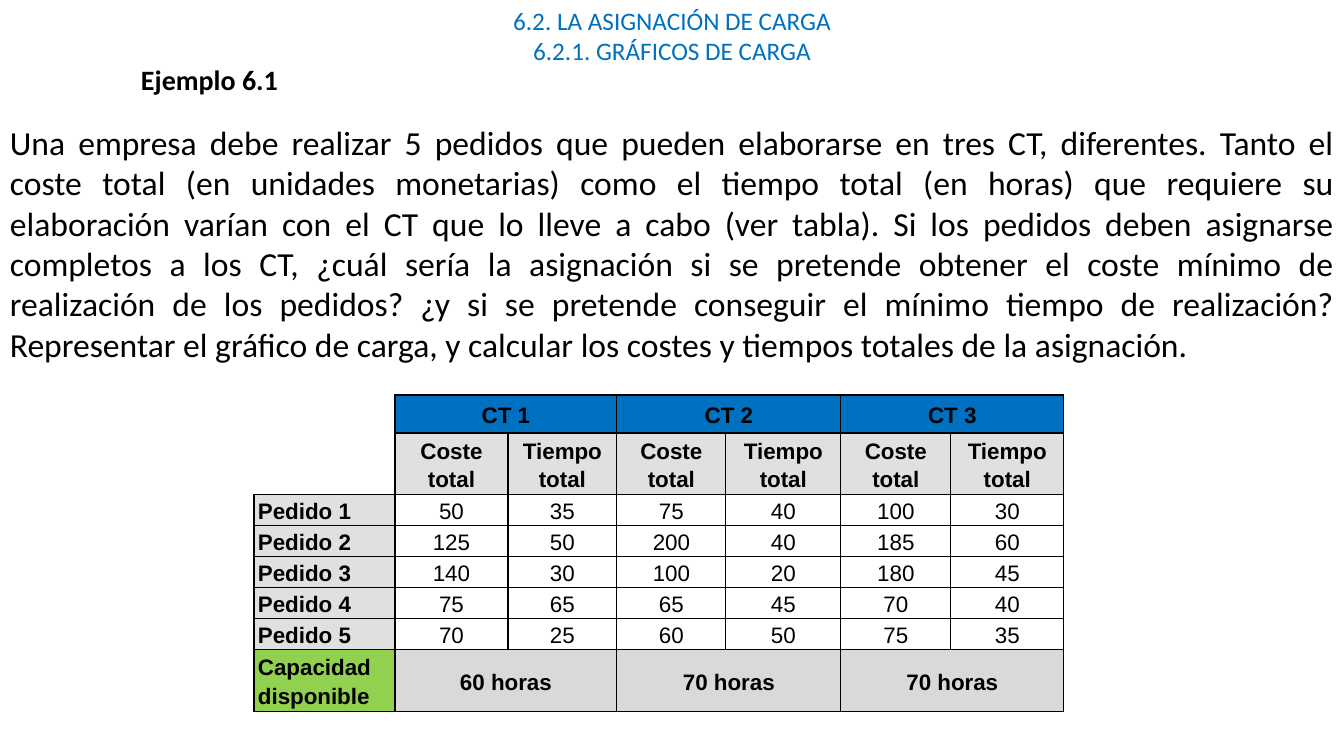
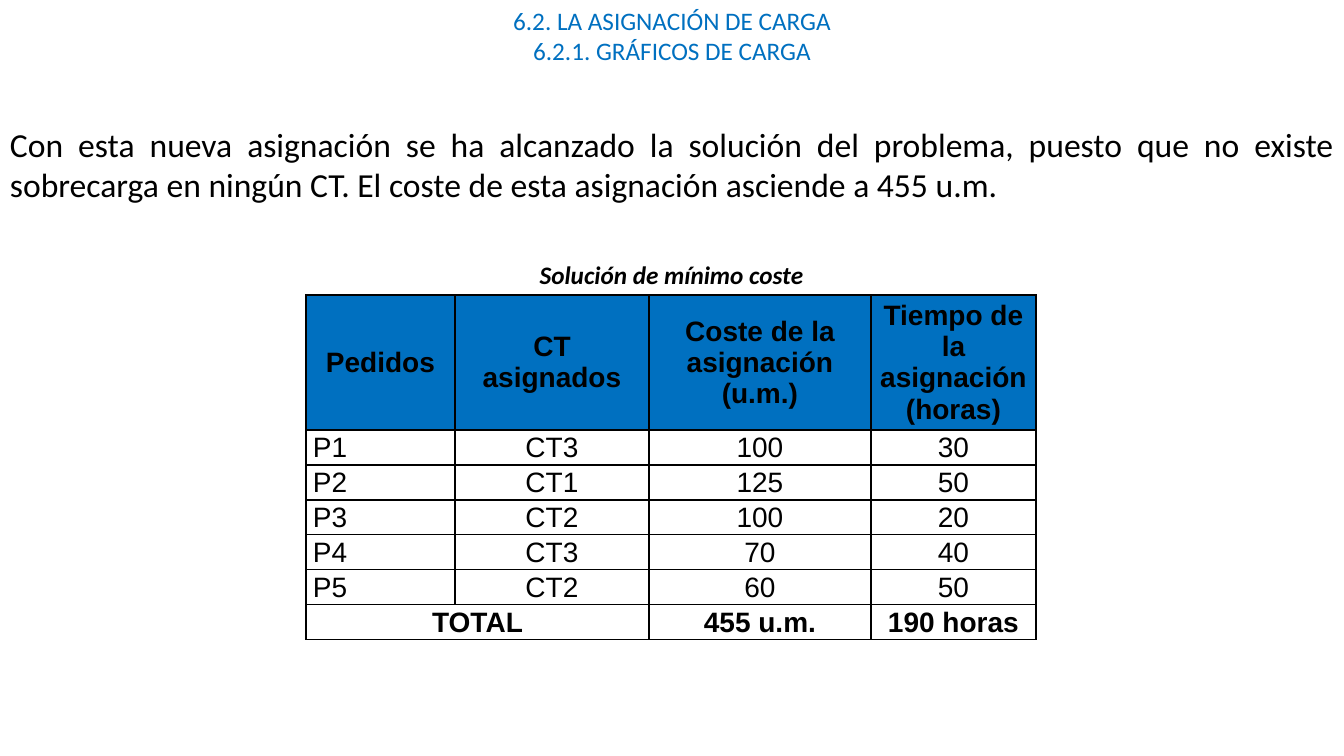
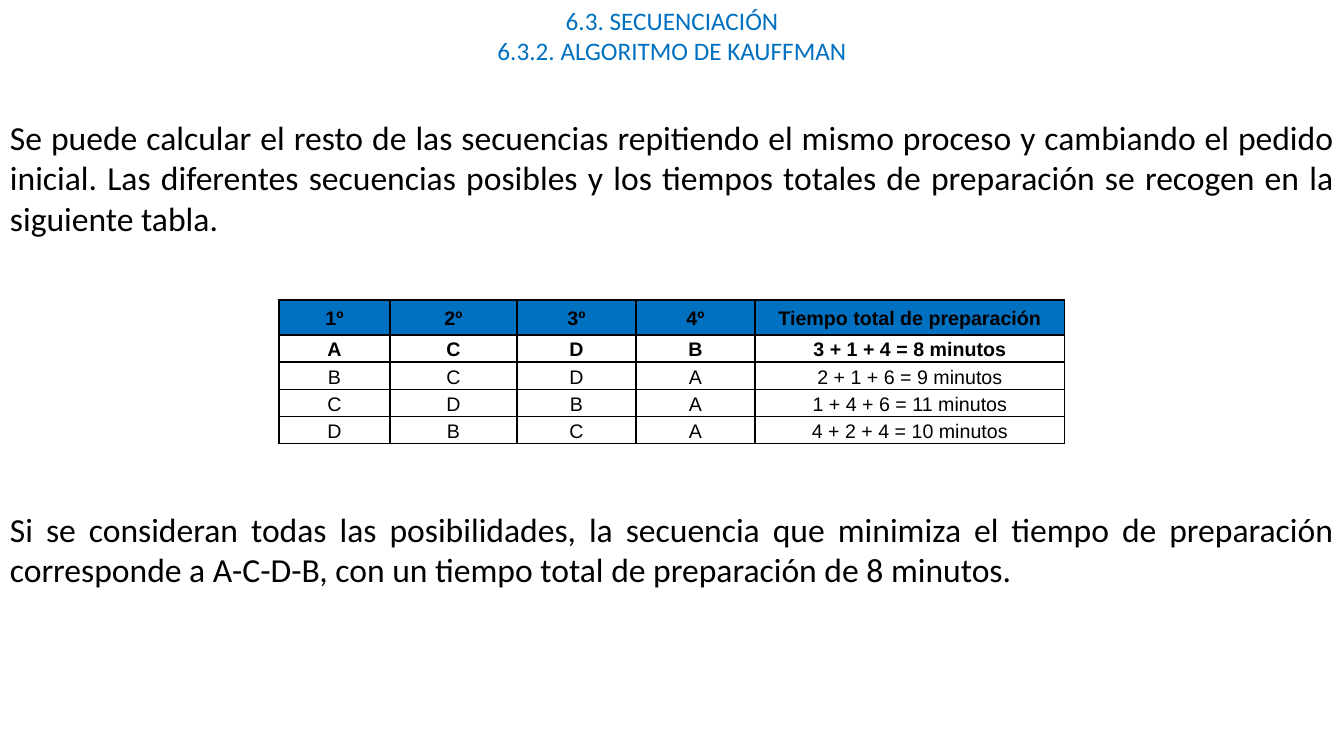
import pptx
import pptx.dml.color
import pptx.enum.text
import pptx.oxml
import pptx.oxml.ns
import pptx.util

PX = 914400 / 100.8
BLUE = pptx.dml.color.RGBColor(0x00, 0x70, 0xC0)
BLACK = pptx.dml.color.RGBColor(0x00, 0x00, 0x00)
LIGHT_GRAY = pptx.dml.color.RGBColor(0xE0, 0xE0, 0xE0)
GRAY = pptx.dml.color.RGBColor(0xD9, 0xD9, 0xD9)
GREEN = pptx.dml.color.RGBColor(0x92, 0xD0, 0x50)
ALIGN = pptx.enum.text.PP_ALIGN
NO_STYLE = "{2D5ABB26-0587-4C30-8999-92F81FD0307C}"
SLIDE_WIDTH, SLIDE_HEIGHT = 1344, 756


def add_text(slide, box, lines, size, align, color=BLACK, bold=False, italic=False):
    shape = slide.shapes.add_textbox(*[round(length * PX) for length in box])
    frame = shape.text_frame
    frame.word_wrap = True
    for index, line in enumerate(lines):
        paragraph = frame.add_paragraph() if index else frame.paragraphs[0]
        paragraph.text = line
        paragraph.alignment = align
        paragraph.font.name = "Calibri"
        paragraph.font.size = pptx.util.Pt(size)
        paragraph.font.bold = bold
        paragraph.font.italic = italic
        paragraph.font.color.rgb = color


def add_table(slide, left, top, widths, heights, rows, size, margin, spacing, bold_rows):
    box = [left, top, sum(widths), sum(heights)]
    shape = slide.shapes.add_table(len(heights), len(widths), *[round(length * PX) for length in box])
    table = shape.table
    table.first_row = table.horz_banding = False
    table._tbl.tblPr.find(pptx.oxml.ns.qn("a:tableStyleId")).text = NO_STYLE
    for column, width in zip(table.columns, widths):
        column.width = round(width * PX)
    for row, height in zip(table.rows, heights):
        row.height = round(height * PX)
    for row_index, texts in enumerate(rows):
        for column_index, text in enumerate(texts):
            cell = table.cell(row_index, column_index)
            cell.margin_left = cell.margin_right = round(margin * PX)
            cell.margin_top = cell.margin_bottom = 0
            cell.vertical_anchor = pptx.enum.text.MSO_ANCHOR.MIDDLE
            if text != "":
                for side in "LRTB":
                    cell._tc.get_or_add_tcPr().append(pptx.oxml.parse_xml(
                        f'<a:ln{side} {pptx.oxml.ns.nsdecls("a")} w="12700"><a:solidFill>'
                        f'<a:srgbClr val="{BLACK}"/></a:solidFill></a:ln{side}>'))
            if row_index == 0 and text != "":
                cell.fill.solid()
                cell.fill.fore_color.rgb = BLUE
            else:
                cell.fill.background()
            paragraph = cell.text_frame.paragraphs[0]
            paragraph.text = text or ""
            paragraph.alignment = ALIGN.CENTER
            paragraph.line_spacing = spacing
            paragraph.font.name = "Arial"
            paragraph.font.size = pptx.util.Pt(size)
            paragraph.font.bold = row_index in bold_rows
            paragraph.font.color.rgb = BLACK
            if text is None:
                table.cell(row_index, column_index - 1).merge(cell)
    return table


presentation = pptx.Presentation()
presentation.slide_width = round(SLIDE_WIDTH * PX)
presentation.slide_height = round(SLIDE_HEIGHT * PX)

load_title = ["6.2. LA ASIGNACIÓN DE CARGA", "6.2.1. GRÁFICOS DE CARGA"]
sequence_title = ["6.3. SECUENCIACIÓN", "6.3.2. ALGORITMO DE KAUFFMAN"]
slides = []
for title in [load_title, load_title, sequence_title]:
    slide = presentation.slides.add_slide(presentation.slide_layouts[6])
    add_text(slide, (0, 0, SLIDE_WIDTH, 71), title, 18, ALIGN.CENTER, BLUE)
    slides.append(slide)
example_slide, solution_slide, sequence_slide = slides

for slide, top, height, text in [
    (example_slide, 117, 261,
     "Una empresa debe realizar 5 pedidos que pueden elaborarse en tres CT, diferentes. Tanto el coste total "
     "(en unidades monetarias) como el tiempo total (en horas) que requiere su elaboración varían con el CT que "
     "lo lleve a cabo (ver tabla). Si los pedidos deben asignarse completos a los CT, ¿cuál sería la asignación "
     "si se pretende obtener el coste mínimo de realización de los pedidos? ¿y si se pretende conseguir el mínimo "
     "tiempo de realización? Representar el gráfico de carga, y calcular los costes y tiempos totales de la "
     "asignación."),
    (solution_slide, 119, 174,
     "Con esta nueva asignación se ha alcanzado la solución del problema, puesto que no existe sobrecarga en "
     "ningún CT. El coste de esta asignación asciende a 455 u.m."),
    (sequence_slide, 112, 132,
     "Se puede calcular el resto de las secuencias repitiendo el mismo proceso y cambiando el pedido inicial. "
     "Las diferentes secuencias posibles y los tiempos totales de preparación se recogen en la siguiente tabla."),
    (sequence_slide, 504, 92,
     "Si se consideran todas las posibilidades, la secuencia que minimiza el tiempo de preparación corresponde a "
     "A-C-D-B, con un tiempo total de preparación de 8 minutos."),
]:
    add_text(slide, (0, top, SLIDE_WIDTH, height), [text], 24, ALIGN.JUSTIFY)

add_text(example_slide, (125, 58, 169, 44), ["Ejemplo 6.1"], 20, ALIGN.CENTER, bold=True)
order_rows = [
    ["", "CT 1", None, "CT 2", None, "CT 3", None],
    [""] + ["Coste total", "Tiempo total"] * 3,
    ["Pedido 1", "50", "35", "75", "40", "100", "30"],
    ["Pedido 2", "125", "50", "200", "40", "185", "60"],
    ["Pedido 3", "140", "30", "100", "20", "180", "45"],
    ["Pedido 4", "75", "65", "65", "45", "70", "40"],
    ["Pedido 5", "70", "25", "60", "50", "75", "35"],
    ["Capacidad disponible", "60 horas", None, "70 horas", None, "70 horas", None],
]
order_table = add_table(example_slide, 254, 395, [141, 113, 109, 109, 115, 110, 113],
                        [38, 61] + [31] * 5 + [62], order_rows, 16, 4, 1.15, {0, 1, 7})
shaded_cells = [(1, column, LIGHT_GRAY) for column in range(1, 7)]
shaded_cells += [(row, 0, LIGHT_GRAY) for row in range(2, 7)]
shaded_cells += [(7, column, GRAY) for column in range(1, 7)]
shaded_cells.append((7, 0, GREEN))
for row, column, color in shaded_cells:
    cell = order_table.cell(row, column)
    cell.fill.solid()
    cell.fill.fore_color.rgb = color
for row in range(2, 8):
    paragraph = order_table.cell(row, 0).text_frame.paragraphs[0]
    paragraph.alignment = ALIGN.JUSTIFY
    paragraph.font.bold = True

solution_rows = [
    ["Pedidos", "CT asignados", "Coste de la asignación (u.m.)", "Tiempo de la asignación (horas)"],
    ["P1", "CT3", "100", "30"],
    ["P2", "CT1", "125", "50"],
    ["P3", "CT2", "100", "20"],
    ["P4", "CT3", "70", "40"],
    ["P5", "CT2", "60", "50"],
    ["TOTAL", None, "455 u.m.", "190 horas"],
]
solution_table = add_table(solution_slide, 306, 295, [149, 194, 222, 165], [135] + [35] * 6,
                           solution_rows, 20, 7, 1.0, {0, 6})
for row in range(1, 6):
    solution_table.cell(row, 0).text_frame.paragraphs[0].alignment = ALIGN.JUSTIFY
add_text(solution_slide, (411, 254, 521, 40), ["Solución de mínimo coste"], 18, ALIGN.CENTER,
         bold=True, italic=True)

sequence_rows = [
    ["1º", "2º", "3º", "4º", "Tiempo total de preparación"],
    ["A", "C", "D", "B", "3 + 1 + 4 = 8 minutos"],
    ["B", "C", "D", "A", "2 + 1 + 6 = 9 minutos"],
    ["C", "D", "B", "A", "1 + 4 + 6 = 11 minutos"],
    ["D", "B", "C", "A", "4 + 2 + 4 = 10 minutos"],
]
add_table(sequence_slide, 279, 300, [111, 127, 119, 119, 310], [35] + [27] * 4,
          sequence_rows, 14, 7, 1.15, {0, 1})

presentation.save("out.pptx")
